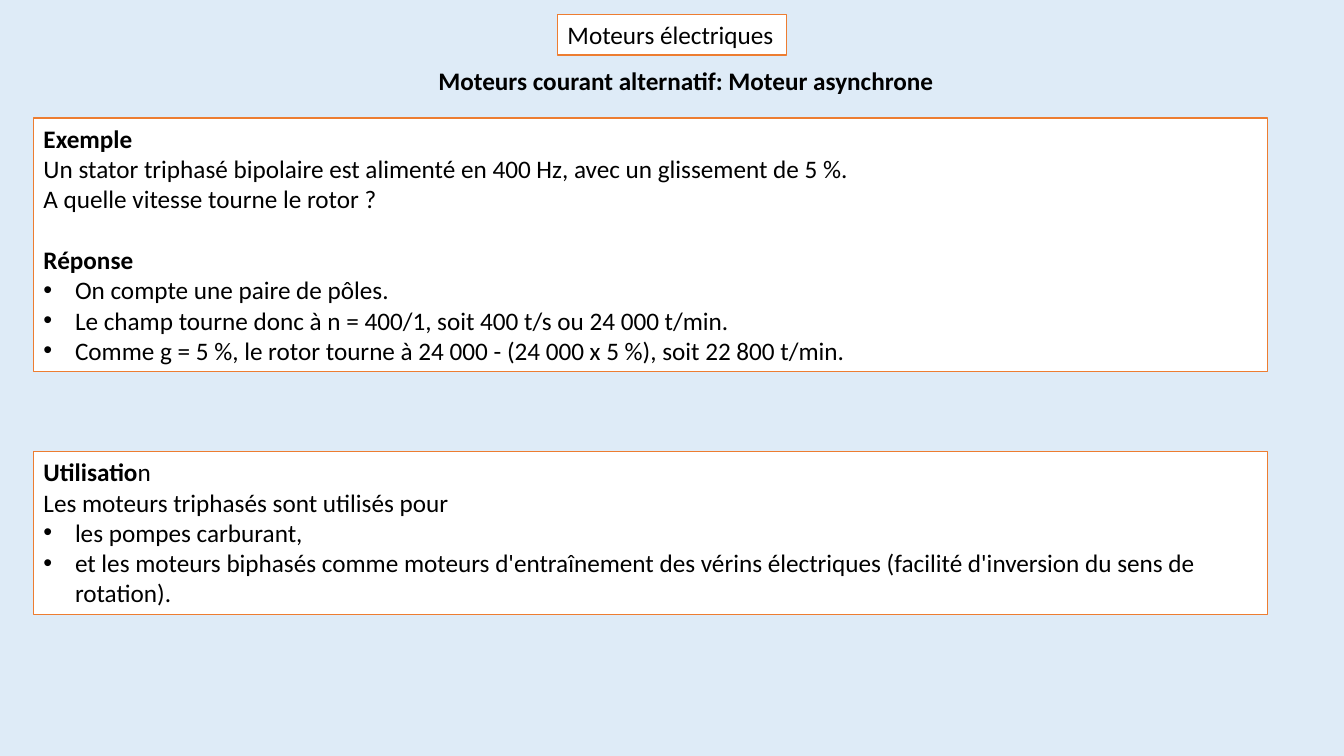
from dataclasses import dataclass

from lxml.etree import SubElement
from pptx import Presentation
from pptx.dml.color import RGBColor as Rgb
from pptx.enum.shapes import MSO_SHAPE as Form
from pptx.enum.text import MSO_ANCHOR as Anchor, MSO_AUTO_SIZE as Fit, PP_ALIGN as Align
from pptx.oxml.ns import qn
from pptx.slide import Slide
from pptx.text.text import _Paragraph as Para
from pptx.util import Pt

HUES = {"back": "DEEBF7", "fill": "FFFFFF", "edge": "ED7D31", "text": "000000"}
SIZE = 18
LEAD = 22
DENT = 22.5
LEFT = 24
WIDE = 881.3


@dataclass(frozen=True)
class Line:
    text: str
    bold: bool = False
    dot: bool = False
    gap: float = 0
    tail: str = ""


@dataclass(frozen=True)
class Box:
    left: float
    top: float
    wide: float
    high: float
    lines: tuple[Line, ...]
    frame: bool = True
    wrap: bool = True


BOXES = (
    Box(LEFT, 84.2, WIDE, 181.4, (
        Line("Exemple", bold=True),
        Line("Un stator triphasé bipolaire est alimenté en 400 Hz, avec un glissement de 5 %."),
        Line("A quelle vitesse tourne le rotor ?"),
        Line("Réponse", bold=True, gap=LEAD),
        Line("On compte une paire de pôles.", dot=True),
        Line("Le champ tourne donc à n = 400/1, soit 400 t/s ou 24 000 t/min.", dot=True),
        Line("Comme g = 5 %, le rotor tourne à 24 000 - (24 000 x 5 %), soit 22 800 t/min.", dot=True),
    )),
    Box(398.3, 10.2, 163.4, 29.1, (Line("Moteurs électriques"),), wrap=False),
    Box(306, 43.2, 368.6, 29.1, (
        Line("Moteurs courant alternatif: Moteur asynchrone", bold=True),
    ), frame=False, wrap=False),
    Box(LEFT, 322.6, WIDE, 116.3, (
        Line("Utilisatio", bold=True, tail="n"),
        Line("Les moteurs triphasés sont utilisés pour"),
        Line("les pompes carburant,", dot=True),
        Line("et les moteurs biphasés comme moteurs d'entraînement des vérins électriques "
             "(facilité d'inversion du sens de rotation).", dot=True),
    )),
)


def tint(name: str) -> Rgb:
    return Rgb.from_string(HUES[name])


def add_dot(para: Para) -> None:
    props = para._p.get_or_add_pPr()
    props.set("marL", str(Pt(DENT)))
    props.set("indent", str(-Pt(DENT)))
    SubElement(props, qn("a:buFont")).set("typeface", "Arial")
    SubElement(props, qn("a:buChar")).set("char", "•")


def write(para: Para, line: Line) -> None:
    para.alignment = Align.LEFT
    if line.gap:
        para.space_before = Pt(line.gap)
    if line.dot:
        add_dot(para)
    font = para.font
    font.name = "Calibri"
    font.size = Pt(SIZE)
    font.color.rgb = tint("text")
    head = para.add_run()
    head.text = line.text
    if line.tail:
        head.font.bold = line.bold
        tail = para.add_run()
        tail.text = line.tail
    else:
        font.bold = line.bold


def draw(slide: Slide, box: Box) -> None:
    area = Pt(box.left), Pt(box.top), Pt(box.wide), Pt(box.high)
    if box.frame:
        shape = slide.shapes.add_shape(Form.RECTANGLE, *area)
        shape.shadow.inherit = False
        shape.fill.solid()
        shape.fill.fore_color.rgb = tint("fill")
        shape.line.color.rgb = tint("edge")
        shape.line.width = Pt(1)
    else:
        shape = slide.shapes.add_textbox(*area)
    body = shape.text_frame
    body.word_wrap = box.wrap
    body.auto_size = Fit.SHAPE_TO_FIT_TEXT
    body.vertical_anchor = Anchor.TOP
    for rank, line in enumerate(box.lines):
        write(body.add_paragraph() if rank else body.paragraphs[0], line)


def main() -> None:
    deck = Presentation()
    deck.slide_width, deck.slide_height = Pt(960), Pt(540)
    slide = deck.slides.add_slide(deck.slide_layouts[6])
    slide.background.fill.solid()
    slide.background.fill.fore_color.rgb = tint("back")
    for box in BOXES:
        draw(slide, box)
    deck.save("out.pptx")


if __name__ == "__main__":
    main()
